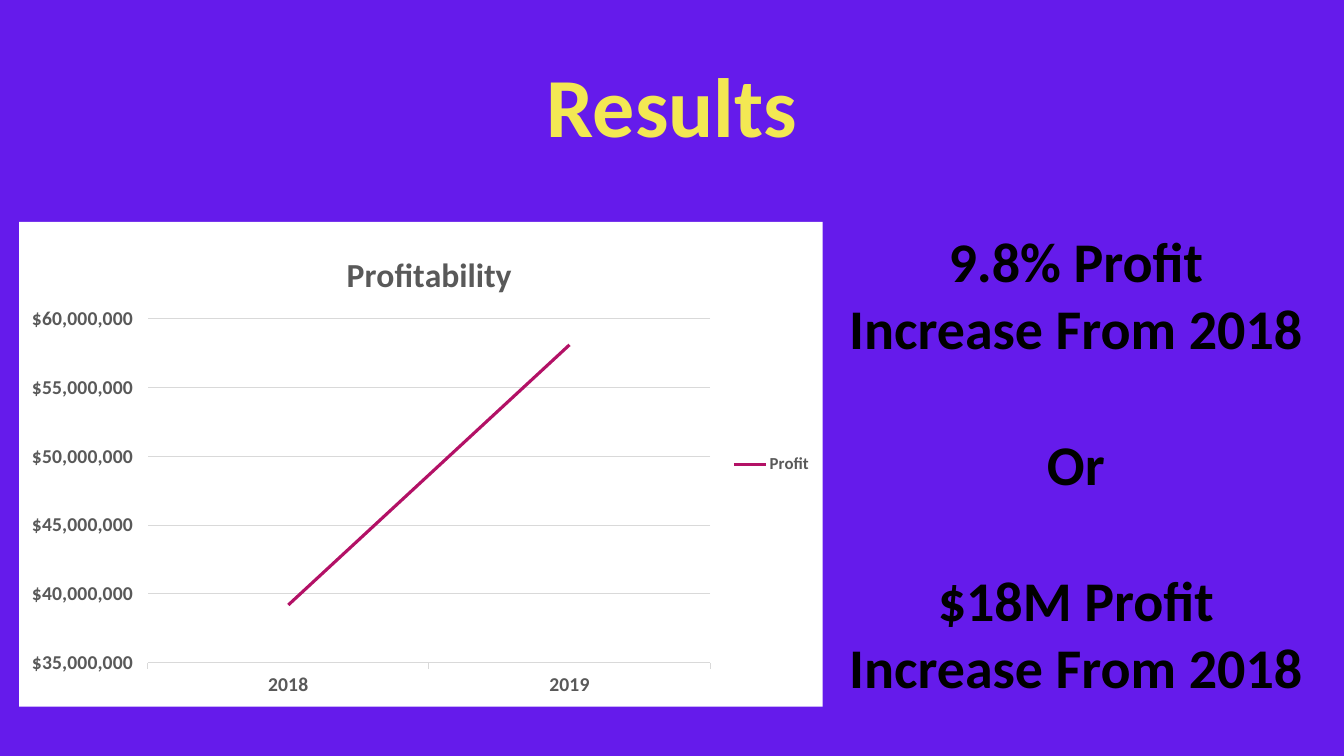
from dataclasses import dataclass

from lxml import etree
from pptx import Presentation
from pptx import util as u
from pptx.chart import data as chart_data
from pptx.dml import color
from pptx.enum import chart as charts, text
from pptx.oxml import parse_xml
from pptx.oxml import ns


@dataclass(frozen=True)
class Theme:
    font: str = "Calibri"
    chart_font: str = "Quicksand"
    background: str = "651BEB"
    heading: str = "F3E853"
    ink: str = "000000"
    label: str = "595959"
    grid: str = "D9D9D9"
    panel: str = "FFFFFF"
    profit: str = "B31166"
    heading_size: float = 60
    body_size: float = 40
    chart_title_size: float = 24
    axis_size: float = 14
    legend_size: float = 12
    chart_size: float = 10
    body_gap: float = 49
    grid_width: float = 0.75
    profit_width: float = 2.25


@dataclass(frozen=True)
class Frame:
    left: float
    top: float
    width: float
    height: float

    def lengths(self) -> tuple:
        return tuple(map(u.Inches, (self.left, self.top, self.width, self.height)))


@dataclass(frozen=True)
class TextBlock:
    frame: Frame
    lines: tuple[str, ...]
    size: float
    color: str
    gap: float = 0


THEME = Theme()
PROFIT_BY_YEAR = {"2018": 39_200_000, "2019": 58_100_000}
CHART_FRAME = Frame(0.19, 2.2, 7.97, 4.81)
BLOCKS = (
    TextBlock(
        Frame(8.31, 2.2, 4.72, 4.81),
        ("9.8% Profit Increase From 2018", "Or", "$18M Profit Increase From 2018"),
        THEME.body_size,
        THEME.ink,
        THEME.body_gap,
    ),
    TextBlock(Frame(5.31, 0.48, 2.71, 1.11), ("Results",), THEME.heading_size, THEME.heading),
)


def rgb(value: str) -> color.RGBColor:
    return color.RGBColor.from_string(value)


def style_font(font, *, size: float, fill: str, name: str = THEME.font, bold: bool = True) -> None:
    font.name = name
    font.size = u.Pt(size)
    font.bold = bold
    font.color.rgb = rgb(fill)


def style_line(line, *, fill: str, width: float) -> None:
    line.color.rgb = rgb(fill)
    line.width = u.Pt(width)


def add_span(para, content: str, **style) -> None:
    span = para.add_run()
    span.text = content
    style_font(span.font, **style)


def add_text(page, block: TextBlock) -> None:
    frame = page.shapes.add_textbox(*block.frame.lengths()).text_frame
    frame.word_wrap = True
    frame.auto_size = text.MSO_AUTO_SIZE.SHAPE_TO_FIT_TEXT
    for index, line in enumerate(block.lines):
        para = frame.add_paragraph() if index else frame.paragraphs[0]
        para.alignment = text.PP_ALIGN.CENTER
        if index:
            para.space_before = u.Pt(block.gap)
        add_span(para, line, size=block.size, fill=block.color)


def set_layout(parent, *, inner: bool = False, **fractions: float) -> None:
    for existing in parent.findall(ns.qn("c:layout")):
        parent.remove(existing)
    layout = etree.Element(ns.qn("c:layout"))
    manual = etree.SubElement(layout, ns.qn("c:manualLayout"))
    settings = {"layoutTarget": "inner"} if inner else {}
    settings |= {"xMode": "edge", "yMode": "edge"} | fractions
    for name, value in settings.items():
        etree.SubElement(manual, ns.qn(f"c:{name}")).set("val", str(value))
    heading = parent.find(ns.qn("c:tx"))
    parent.insert(0 if heading is None else 1, layout)


def fill_chart(chart, fill: str) -> None:
    properties = parse_xml(
        f'<c:spPr {ns.nsdecls("c", "a")}><a:solidFill><a:srgbClr val="{fill}"/>'
        "</a:solidFill><a:ln><a:noFill/></a:ln></c:spPr>"
    )
    chart.element.find(ns.qn("c:chart")).addnext(properties)


def style_axes(chart) -> None:
    for axis in (chart.category_axis, chart.value_axis):
        axis.major_tick_mark = charts.XL_TICK_MARK.OUTSIDE
        style_font(axis.tick_labels.font, size=THEME.axis_size, fill=THEME.label)
    style_line(chart.category_axis.format.line, fill=THEME.grid, width=THEME.grid_width)
    values = chart.value_axis
    values.minimum_scale = 35_000_000
    values.maximum_scale = 60_000_000
    values.major_unit = 5_000_000
    values.tick_labels.number_format = r'"$"#,##0_);[Red]\("$"#,##0\)'
    values.tick_labels.number_format_is_linked = False
    values.format.line.fill.background()
    style_line(values.major_gridlines.format.line, fill=THEME.grid, width=THEME.grid_width)


def add_profit_chart(page, frame: Frame) -> None:
    data = chart_data.CategoryChartData()
    data.categories = list(PROFIT_BY_YEAR)
    data.add_series("Profit", list(PROFIT_BY_YEAR.values()))
    chart = page.shapes.add_chart(charts.XL_CHART_TYPE.LINE, *frame.lengths(), data).chart
    style_font(
        chart.font, size=THEME.chart_size, fill=THEME.ink, name=THEME.chart_font, bold=False
    )
    fill_chart(chart, THEME.panel)

    title = chart.chart_title
    add_span(
        title.text_frame.paragraphs[0],
        "Profitability",
        size=THEME.chart_title_size,
        fill=THEME.label,
    )
    title.include_in_layout = False
    set_layout(title.format.line and chart.element.find(f".//{ns.qn('c:title')}"), x=0.4, y=0.05)
    set_layout(
        chart.element.find(f".//{ns.qn('c:plotArea')}"), inner=True, x=0.16, y=0.2, w=0.7, h=0.71
    )

    chart.has_legend = True
    chart.legend.position = charts.XL_LEGEND_POSITION.RIGHT
    chart.legend.include_in_layout = False
    style_font(chart.legend.font, size=THEME.legend_size, fill=THEME.label)

    style_axes(chart)
    chart.plots[0].vary_by_categories = False
    profit = chart.plots[0].series[0]
    profit.smooth = False
    profit.marker.style = charts.XL_MARKER_STYLE.NONE
    style_line(profit.format.line, fill=THEME.profit, width=THEME.profit_width)


def main() -> None:
    deck = Presentation()
    deck.slide_width = u.Inches(13.33)
    deck.slide_height = u.Inches(7.5)
    page = deck.slides.add_slide(deck.slide_layouts[6])
    page.background.fill.solid()
    page.background.fill.fore_color.rgb = rgb(THEME.background)
    add_profit_chart(page, CHART_FRAME)
    for block in BLOCKS:
        add_text(page, block)
    deck.save("out.pptx")


if __name__ == "__main__":
    main()
